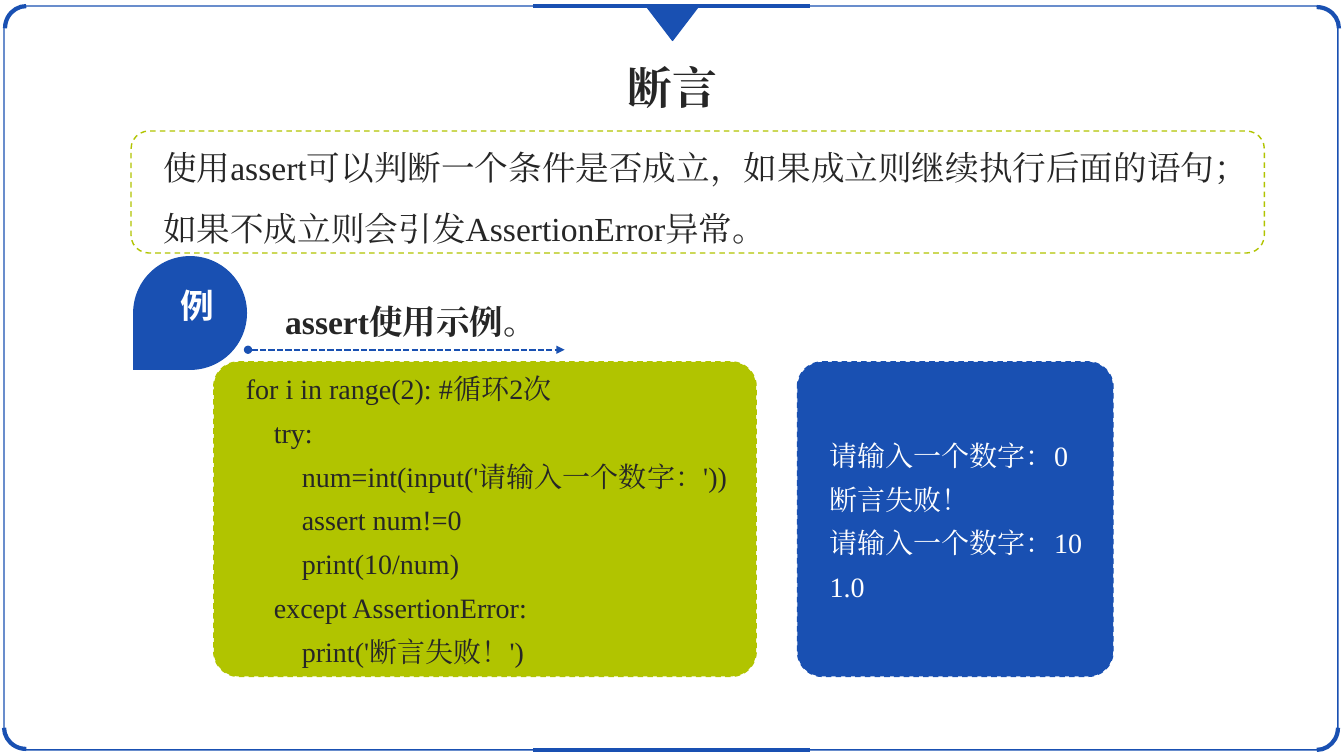
"""Build the slide on assertions: definition, code example and its output."""
from lxml import etree
from pptx import Presentation
from pptx.dml.color import RGBColor
from pptx.enum.dml import MSO_LINE
from pptx.enum.shapes import MSO_CONNECTOR, MSO_SHAPE
from pptx.enum.text import PP_ALIGN
from pptx.oxml.ns import qn
from pptx.util import Inches, Pt

ROUNDED, ARC = MSO_SHAPE.ROUNDED_RECTANGLE, MSO_SHAPE.ARC
TRIANGLE, TEARDROP = MSO_SHAPE.ISOSCELES_TRIANGLE, MSO_SHAPE.TEAR
DASH, SHORT_DASH = MSO_LINE.DASH, MSO_LINE.SQUARE_DOT
STRAIGHT, CENTER = MSO_CONNECTOR.STRAIGHT, PP_ALIGN.CENTER
COLORS = {"blue": "1950B2", "lime": "B1C400", "ink": "262626", "white": "FFFFFF"}
COLORS = {name: RGBColor.from_string(code) for name, code in COLORS.items()}
SERIF, SANS = "Times New Roman", "Noto Sans CJK SC"
WIDTH, HEIGHT = 13.33, 7.5

deck = Presentation()
deck.slide_width, deck.slide_height = Inches(WIDTH), Inches(HEIGHT)
page = deck.slides.add_slide(deck.slide_layouts[6])


def add_figure(kind, area, fill=None, line=None, weight=1, dash=None, turn=0, corner=None):
    figure = page.shapes.add_shape(kind, *map(Inches, area))
    figure.shadow.inherit = False
    figure.rotation = turn
    if corner is not None:
        figure.adjustments[0] = corner
    for part, color in ((figure.fill, fill), (figure.line.fill, line)):
        if color:
            part.solid()
            part.fore_color.rgb = COLORS[color]
        else:
            part.background()
    if line:
        figure.line.width = Pt(weight)
        figure.line.dash_style = dash


def add_text(area, lines, color="ink", wrap=True, inset=(0.1, 0.05), indent=0,
             face=SERIF, paragraph={}, font={}):
    frame = page.shapes.add_textbox(*map(Inches, area)).text_frame
    frame.word_wrap = wrap
    frame.margin_left = frame.margin_right = Inches(inset[0])
    frame.margin_top = frame.margin_bottom = Inches(inset[1])
    for number, line in enumerate(lines):
        para = frame.paragraphs[0] if number == 0 else frame.add_paragraph()
        para._p.get_or_add_pPr().set("indent", str(Inches(indent)))
        span = para.add_run()
        span.text = line
        span.font.color.rgb = COLORS[color]
        for target, values in ((para, paragraph), (span.font, {"name": face, **font})):
            for name, value in values.items():
                setattr(target, name, value)
        etree.SubElement(span._r.get_or_add_rPr(), qn("a:ea"), typeface=face)


add_figure(ROUNDED, (0.04, 0.06, 13.23, 7.38), line="blue", corner=0.029)
corners = [(0.04, 0.07, 270), (12.84, 0.07, 0), (12.84, 7.01, 90), (0.04, 7.01, 180)]
for left, top, turn in corners:
    add_figure(ARC, (left, top, 0.44, 0.42), line="blue", weight=3, turn=turn)

rules = [
    (5.29, 8.03, 0.06, 3, None, {}),
    (5.29, 8.03, HEIGHT - 0.06, 3, None, {}),
    (2.46, 5.6, 3.47, 1.5, SHORT_DASH, {"headEnd": "oval", "tailEnd": "triangle"}),
]
for start, end, height, weight, dash, tips in rules:
    rule = page.shapes.add_connector(
        STRAIGHT, Inches(start), Inches(height), Inches(end), Inches(height))
    rule.line.color.rgb = COLORS["blue"]
    rule.line.width = Pt(weight)
    rule.line.dash_style = dash
    for tip, style in tips.items():
        etree.SubElement(rule.line._get_or_add_ln(), qn(f"a:{tip}"), type=style)
    etree.SubElement(rule._element.spPr, qn("a:effectLst"))

add_figure(TRIANGLE, (6.41, 0.06, 0.52, 0.34), fill="blue", line="blue", turn=180)
add_text((6.12, 0.54, 1.1, 0.64), ["断言"], wrap=False,
         paragraph={"alignment": CENTER}, font={"size": Pt(32), "bold": True})

definition = "使用assert可以判断一个条件是否成立，如果成立则继续执行后面的语句；如果不成立则会引发AssertionError异常。"
add_text((1.52, 1.21, 10.67, 1.24), [definition],
         paragraph={"line_spacing": 1.5}, font={"size": Pt(24)})
add_figure(ROUNDED, (1.3, 1.3, 11.24, 1.21), line="lime", dash=DASH, corner=0.146)

code = [
    "for i in range(2): #循环2次",
    "    try:",
    "        num=int(input('请输入一个数字：'))",
    "        assert num!=0",
    "        print(10/num)",
    "    except AssertionError:",
    "        print('断言失败！')",
]
output = ["请输入一个数字：0", "断言失败！", "请输入一个数字：10", "1.0"]
panels = [
    (2.12, 5.38, "lime", "ink", 3.54, 3.12, code),
    (7.91, 3.13, "blue", "white", 4.2, 1.81, output),
]
for left, width, fill, ink, text_top, text_height, lines in panels:
    add_figure(ROUNDED, (left, 3.59, width, 3.12), fill=fill, line=fill,
               dash=DASH, corner=0.079)
    add_text((left, text_top, 6.5, text_height), lines, color=ink, indent=0.22,
             paragraph={"line_spacing": 1.3}, font={"size": Pt(20)})

heading = {"size": Pt(24), "bold": True}
add_text((2.73, 2.74, 10.36, 0.64), ["assert使用示例。"],
         paragraph={"line_spacing": 1.5}, font=heading)
add_figure(TEARDROP, (1.32, 2.54, 1.13, 1.13), fill="blue", turn=180)
add_text((1.77, 2.83, 0.37, 0.34), ["例"], color="white", wrap=False, inset=(0, 0),
         face=SANS, paragraph={"alignment": CENTER}, font=heading)

deck.save("out.pptx")
